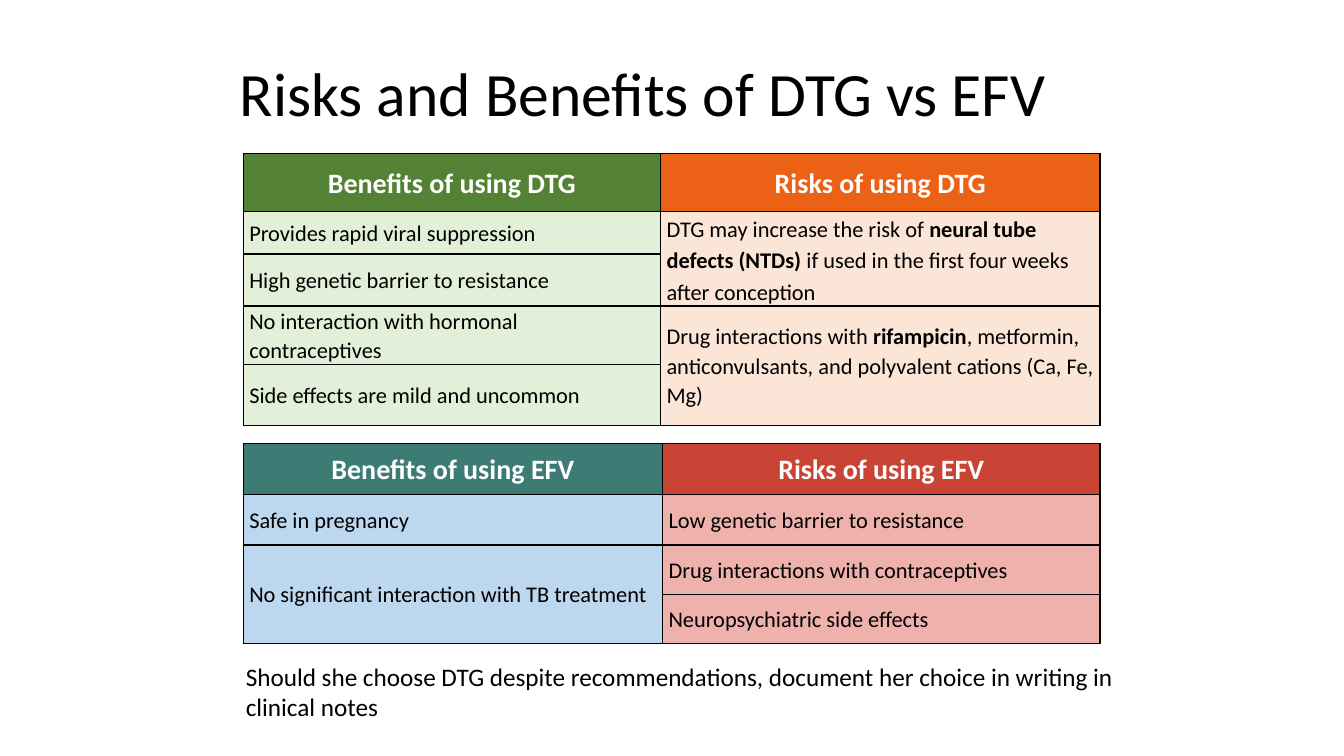
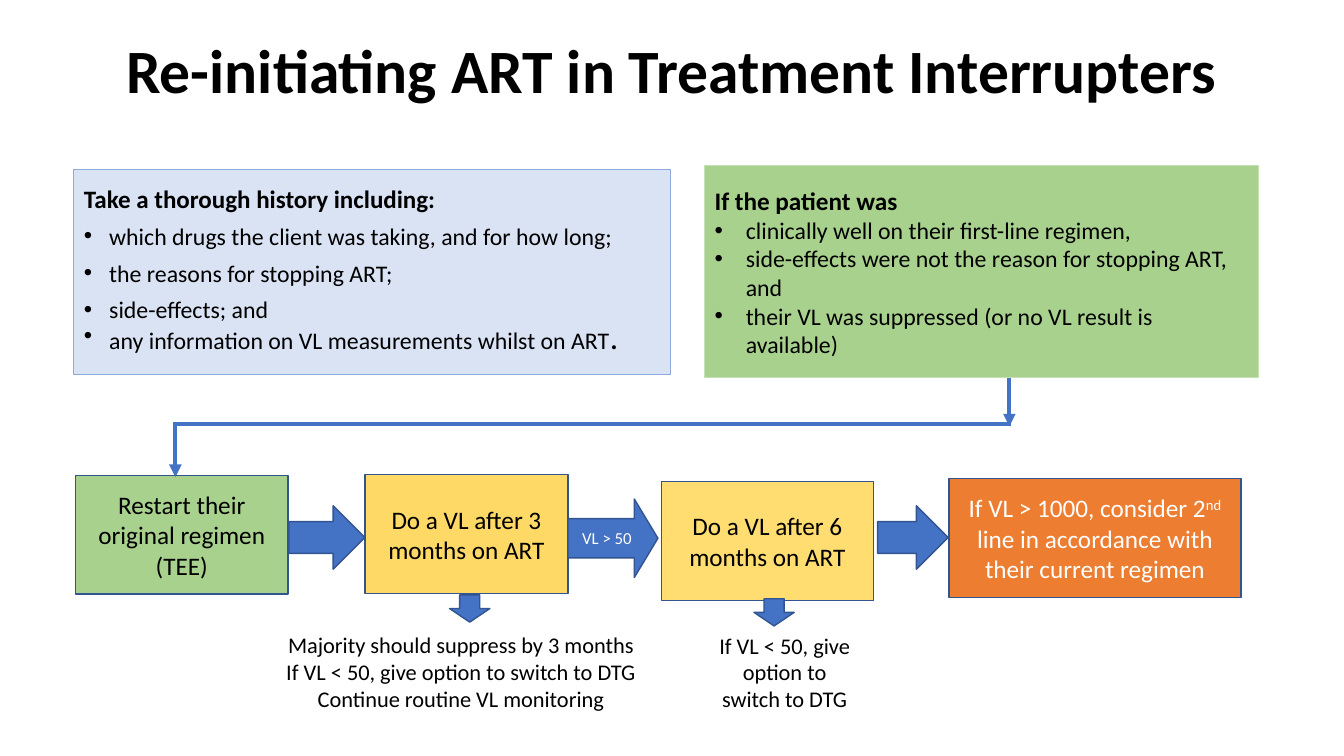
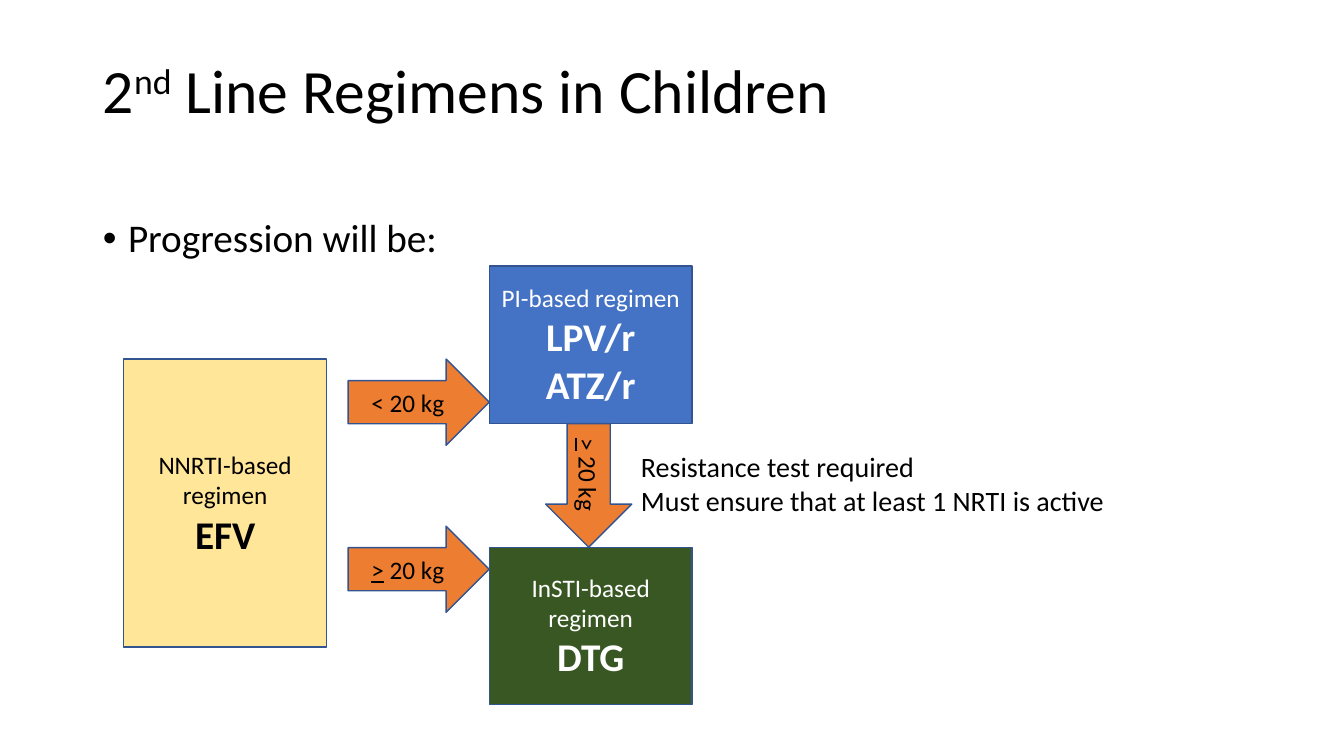
from dataclasses import dataclass

from lxml import etree
from pptx import Presentation
from pptx.dml.color import RGBColor
from pptx.enum.shapes import MSO_CONNECTOR, MSO_SHAPE
from pptx.enum.text import MSO_ANCHOR, MSO_AUTO_SIZE, PP_ALIGN
from pptx.oxml.ns import qn
from pptx.util import Inches, Pt

RECTANGLE = MSO_SHAPE.RECTANGLE
RIGHT_ARROW = MSO_SHAPE.RIGHT_ARROW
DOWN_ARROW = MSO_SHAPE.DOWN_ARROW
STRAIGHT = MSO_CONNECTOR.STRAIGHT
LEFT, CENTER = PP_ALIGN.LEFT, PP_ALIGN.CENTER
TOP, MIDDLE = MSO_ANCHOR.TOP, MSO_ANCHOR.MIDDLE

SLIDE_WIDTH, SLIDE_HEIGHT = Inches(13.33), Inches(7.5)
TITLE_ONLY, TITLE_AND_CONTENT = 5, 1
FONT = "Calibri"
TITLE_SIZE = 44

COLORS = {
    "black": "000000",
    "white": "FFFFFF",
    "outline": "325491",
    "blue": "4472C4",
    "orange": "ED7D31",
    "yellow": "FFD966",
    "bright_yellow": "FFDD71",
    "pale_yellow": "FFE699",
    "green": "A9D18E",
    "green_edge": "C5E0B4",
    "dark_green": "385723",
    "history": "DAE3F3",
    "history_edge": "8FAADC",
    "dtg_benefit_head": "548235",
    "dtg_benefit": "E2F0D9",
    "dtg_risk_head": "EB6115",
    "dtg_risk": "FBE5D6",
    "efv_benefit_head": "3D7B75",
    "efv_benefit": "BDD7EE",
    "efv_risk_head": "CA4436",
    "efv_risk": "EEB1AC",
}


@dataclass(frozen=True)
class Box:
    """An area in percent of the slide's width and height."""
    left: float
    top: float
    width: float
    height: float

    def emu(self) -> tuple:
        return (across(self.left), down(self.top),
                across(self.width), down(self.height))


@dataclass(frozen=True)
class Run:
    text: str
    size: float | None = None
    bold: bool = False
    underline: bool = False
    raised: bool = False


@dataclass(frozen=True)
class Para:
    runs: tuple
    align: int = CENTER
    spacing: float = 1.0
    before: float = 0
    indent: float = 0  # hanging indent of a bulleted line, in inches


@dataclass(frozen=True)
class Block:
    """A preset shape with its text."""
    box: Box
    fill: str
    paras: tuple = ()
    kind: int = RECTANGLE
    size: float = 18
    color: str = "black"
    line: str = "outline"
    line_width: float = 1
    turn: float = 0
    adjustments: tuple = ()


@dataclass(frozen=True)
class Line:
    start: tuple
    end: tuple
    arrow: bool = True


@dataclass(frozen=True)
class Entry:
    """A body cell of a table."""
    runs: tuple
    span: int = 1
    spacing: float = 1.07


@dataclass(frozen=True)
class Comparison:
    """A two-column table of benefits and risks."""
    top: float
    columns: tuple
    rows: tuple
    heads: tuple
    head_fills: tuple
    fills: tuple
    entries: tuple  # one tuple per column


def across(share: float) -> int:
    return round(SLIDE_WIDTH * share / 100)


def down(share: float) -> int:
    return round(SLIDE_HEIGHT * share / 100)


def rgb(name: str) -> RGBColor:
    return RGBColor.from_string(COLORS[name])


def plain(text: str, **options) -> Para:
    return Para((Run(text),), **options)


def entry(text: str, span: int = 1) -> Entry:
    return Entry((Run(text),), span)


def paint(shape, fill: str, line: str, width: float) -> None:
    shape.fill.solid()
    shape.fill.fore_color.rgb = rgb(fill)
    shape.line.color.rgb = rgb(line)
    shape.line.width = Pt(width)


def write(frame, paras, size: float, color: str = "black") -> None:
    for index, para in enumerate(paras):
        paragraph = frame.add_paragraph() if index else frame.paragraphs[0]
        paragraph.alignment = para.align
        paragraph.line_spacing = para.spacing
        paragraph.space_before = Pt(para.before)
        properties = paragraph._p.get_or_add_pPr()
        properties.set("marL", str(Inches(para.indent)))
        properties.set("indent", str(-Inches(para.indent)))
        if para.indent:
            etree.SubElement(properties, qn("a:buFont")).set("typeface", "Arial")
            etree.SubElement(properties, qn("a:buChar")).set("char", "•")
        else:
            etree.SubElement(properties, qn("a:buNone"))
        for part in para.runs:
            run = paragraph.add_run()
            run.text = part.text
            run.font.name = FONT
            run.font.size = Pt(part.size or size)
            run.font.bold = part.bold
            run.font.underline = part.underline
            run.font.color.rgb = rgb(color)
            if part.raised:
                run._r.get_or_add_rPr().set("baseline", "30000")


def write_in(shape, paras, size: float, color: str = "black",
             anchor: int = MIDDLE) -> None:
    frame = shape.text_frame
    frame.word_wrap = True
    frame.auto_size = MSO_AUTO_SIZE.NONE
    frame.vertical_anchor = anchor
    write(frame, paras, size, color)


def place(shape, box: Box) -> None:
    shape.left, shape.top, shape.width, shape.height = box.emu()


def start_slide(deck, layout: int, box: Box, runs: tuple, align: int = LEFT):
    """Add a slide with its title in the common title style."""
    slide = deck.slides.add_slide(deck.slide_layouts[layout])
    place(slide.shapes.title, box)
    write_in(slide.shapes.title, (Para(runs, align, 0.9),), TITLE_SIZE)
    return slide


def add_block(slide, block: Block) -> None:
    shape = slide.shapes.add_shape(block.kind, *block.box.emu())
    shape.shadow.inherit = False
    shape.rotation = block.turn
    for index, value in enumerate(block.adjustments):
        shape.adjustments[index] = value
    paint(shape, block.fill, block.line, block.line_width)
    if block.paras:
        write_in(shape, block.paras, block.size, block.color)


def add_note(slide, box: Box, paras: tuple, size: float) -> None:
    write_in(slide.shapes.add_textbox(*box.emu()), paras, size, anchor=TOP)


def add_line(slide, line: Line) -> None:
    (x1, y1), (x2, y2) = line.start, line.end
    connector = slide.shapes.add_connector(
        STRAIGHT, across(x1), down(y1), across(x2), down(y2))
    connector.line.color.rgb = rgb("blue")
    connector.line.width = Pt(3)
    if line.arrow:
        outline = connector.line._get_or_add_ln()
        etree.SubElement(outline, qn("a:tailEnd")).set("type", "triangle")
    etree.SubElement(connector._element.spPr, qn("a:effectLst"))


def format_cell(cell, fill: str) -> None:
    """Give a cell its borders, fill, margins and anchor."""
    properties = cell._tc.get_or_add_tcPr()
    for side in ("lnL", "lnR", "lnT", "lnB"):
        border = etree.SubElement(properties, qn(f"a:{side}"), w=str(Pt(1)))
        border_fill = etree.SubElement(border, qn("a:solidFill"))
        etree.SubElement(border_fill, qn("a:srgbClr"), val=COLORS["black"])
    cell.fill.solid()
    cell.fill.fore_color.rgb = rgb(fill)
    cell.margin_left = cell.margin_right = Inches(0.06)
    cell.margin_top = cell.margin_bottom = 0
    cell.vertical_anchor = MIDDLE


def add_comparison(slide, data: Comparison) -> None:
    box = Box(18.1, data.top, sum(data.columns), sum(data.rows))
    table = slide.shapes.add_table(
        len(data.rows), len(data.columns), *box.emu()).table
    table.first_row = table.horz_banding = False
    for column, width in zip(table.columns, data.columns):
        column.width = across(width)
    for row, height in zip(table.rows, data.rows):
        row.height = down(height)
    for column, head in enumerate(data.heads):
        for row in range(len(data.rows)):
            fills = data.fills if row else data.head_fills
            format_cell(table.cell(row, column), fills[column])
        write(table.cell(0, column).text_frame,
              (Para((Run(head, bold=True),), spacing=1.07),), 20, "white")
        row = 1
        for item in data.entries[column]:
            cell = table.cell(row, column)
            if item.span > 1:
                cell.merge(table.cell(row + item.span - 1, column))
            write(cell.text_frame, (Para(item.runs, LEFT, item.spacing),), 16)
            row += item.span


def build_comparison(deck) -> None:
    slide = start_slide(deck, TITLE_ONLY, Box(17.1, 5.5, 64.65, 14.5),
                        (Run("Risks and Benefits of DTG vs EFV"),))
    dtg = Comparison(
        20.3, (31.05, 32.7), (7.7, 5.6, 6.7, 7.7, 8),
        ("Benefits of using DTG", "Risks of using DTG"),
        ("dtg_benefit_head", "dtg_risk_head"), ("dtg_benefit", "dtg_risk"),
        ((entry("Provides rapid viral suppression"),
          entry("High genetic barrier to resistance"),
          entry("No interaction with hormonal contraceptives"),
          entry("Side effects are mild and uncommon")),
         (Entry((Run("DTG may increase the risk of "),
                 Run("neural tube defects (NTDs) ", bold=True),
                 Run("if used in the first four weeks after conception")),
                2, 1.15),
          Entry((Run("Drug interactions with "), Run("rifampicin", bold=True),
                 Run(", metformin, anticonvulsants, and polyvalent cations "
                     "(Ca, Fe, Mg)")), 2))))
    efv = Comparison(
        58.7, (31.2, 32.55), (6.7, 6.7, 6.5, 6.5),
        ("Benefits of using EFV", "Risks of using EFV"),
        ("efv_benefit_head", "efv_risk_head"), ("efv_benefit", "efv_risk"),
        ((entry("Safe in pregnancy"),
          entry("No significant interaction with TB treatment", 2)),
         (entry("Low genetic barrier to resistance"),
          entry("Drug interactions with contraceptives"),
          entry("Neuropsychiatric side effects"))))
    for data in (dtg, efv):
        add_comparison(slide, data)
    add_note(slide, Box(17.55, 86.8, 66.1, 9.5),
             (plain("Should she choose DTG despite recommendations, document "
                    "her choice in writing in clinical notes", align=LEFT),), 18)


def build_reinitiation(deck) -> None:
    slide = start_slide(
        deck, TITLE_AND_CONTENT, Box(0, 0.1, 100, 19.3),
        (Run("Re-initiating ART in Treatment Interrupters", bold=True),), CENTER)

    history = slide.placeholders[1]
    place(history, Box(5.5, 22.4, 44.4, 27.2))
    paint(history, "history", "history_edge", 0.75)
    questions = ("which drugs the client was taking, and for how long;",
                 "the reasons for stopping ART;", "side-effects; and")
    write_in(history, (
        Para((Run("Take a thorough history including:", 17.9, True),),
             LEFT, 0.8, 10),
        *(plain(question, align=LEFT, spacing=0.8, before=10, indent=0.25)
          for question in questions),
        Para((Run("any information on VL measurements whilst on ART"),
              Run(".", 23.8)), LEFT, 0.8, indent=0.25)), 17)

    conditions = ("clinically well on their first-line regimen,",
                  "side-effects were not the reason for stopping ART, and",
                  "their VL was suppressed (or no VL result is available)")
    blocks = (
        Block(Box(52.43, 21.9, 41.2, 28.1), "green", (
            Para((Run("If the patient was", 18, True),), LEFT),
            *(plain(condition, align=LEFT, indent=0.31)
              for condition in conditions)),
            size=17, line="green_edge", line_width=0.75),
        Block(Box(27.15, 62.8, 15.1, 15.7), "yellow",
              (plain("Do a VL after 3 months on ART"),)),
        Block(Box(5.63, 62.9, 15.8, 15.7), "green",
              (plain("Restart their original regimen"), plain("(TEE)"))),
        Block(Box(49.2, 63.7, 15.8, 15.7), "bright_yellow",
              (plain("Do a VL after 6 months on ART"),)),
        Block(Box(70.6, 63.3, 21.75, 15.7), "orange",
              (Para((Run("If VL > 1000, consider 2"), Run("nd", raised=True),
                     Run(" line in accordance with their current regimen"))),),
              color="white"),
        Block(Box(42.25, 66, 6.7, 10.4), "blue", (plain("VL > 50"),),
              RIGHT_ARROW, 12, "white", adjustments=(0.5, 0.3)),
        Block(Box(21.5, 66.9, 5.65, 8.4), "blue", kind=RIGHT_ARROW),
        Block(Box(65.3, 66.9, 5.25, 8.4), "blue", kind=RIGHT_ARROW),
        Block(Box(33.45, 78.7, 3, 3.6), "blue", kind=DOWN_ARROW),
        Block(Box(56.1, 79.2, 3, 3.6), "blue", kind=DOWN_ARROW),
    )
    for block in blocks:
        add_block(slide, block)

    switch = plain("If VL < 50, give option to switch to DTG")
    add_note(slide, Box(19.8, 82.8, 29, 12.1),
             (plain("Majority should suppress by 3 months"), switch,
              plain("Continue routine VL monitoring")), 16)
    add_note(slide, Box(52.43, 82.9, 11.9, 12.1), (switch,), 16)

    for line in (Line((13.05, 56.3), (13.05, 63.1)),
                 Line((75.1, 50), (75.1, 56.4)),
                 Line((12.9, 56.1), (75.2, 56.1), arrow=False)):
        add_line(slide, line)


def regimen(left: float, top: float, height: float, fill: str, color: str,
            family: str, *drugs: str) -> Block:
    names = (Para((Run(drug, 28, True),)) for drug in drugs)
    return Block(Box(left, top, 15.1, height), fill,
                 (plain(family), *names), color=color)


def build_second_line(deck) -> None:
    slide = start_slide(deck, TITLE_AND_CONTENT, Box(6.9, 2.7, 86.25, 19.3),
                        (Run("2"), Run("nd", raised=True),
                         Run(" Line Regimens in Children")))
    progression = slide.placeholders[1]
    place(progression, Box(6.9, 28.3, 91.8, 69.1))
    write_in(progression, (plain("Progression will be:", align=LEFT, spacing=0.9,
                                 before=10, indent=0.25),), 28, anchor=TOP)

    lighter = (plain("< 20 kg"),)
    heavier = (Para((Run(">", underline=True), Run(" 20 kg"))),)
    blocks = (
        regimen(9.2, 47.5, 38.1, "pale_yellow", "black",
                "NNRTI-based regimen", "EFV"),
        regimen(36.4, 72.4, 20.8, "dark_green", "white",
                "InSTI-based regimen", "DTG"),
        regimen(36.4, 35.2, 20.8, "blue", "white",
                "PI-based regimen", "LPV/r", "ATZ/r"),
        Block(Box(25.9, 47.5, 10.5, 11.4), "orange", lighter, RIGHT_ARROW),
        Block(Box(25.9, 69.6, 10.5, 11.4), "orange", heavier, RIGHT_ARROW),
        Block(Box(39.2, 58.5, 9.2, 11.4), "orange", heavier, RIGHT_ARROW,
              turn=90),
    )
    for block in blocks:
        add_block(slide, block)
    add_note(slide, Box(46.95, 58.8, 37.5, 10.3),
             (plain("Resistance test required", align=LEFT),
              plain("Must ensure that at least 1 NRTI is active", align=LEFT)), 20)


def main() -> None:
    deck = Presentation()
    deck.slide_width, deck.slide_height = SLIDE_WIDTH, SLIDE_HEIGHT
    build_comparison(deck)
    build_reinitiation(deck)
    build_second_line(deck)
    deck.save("out.pptx")


if __name__ == "__main__":
    main()
